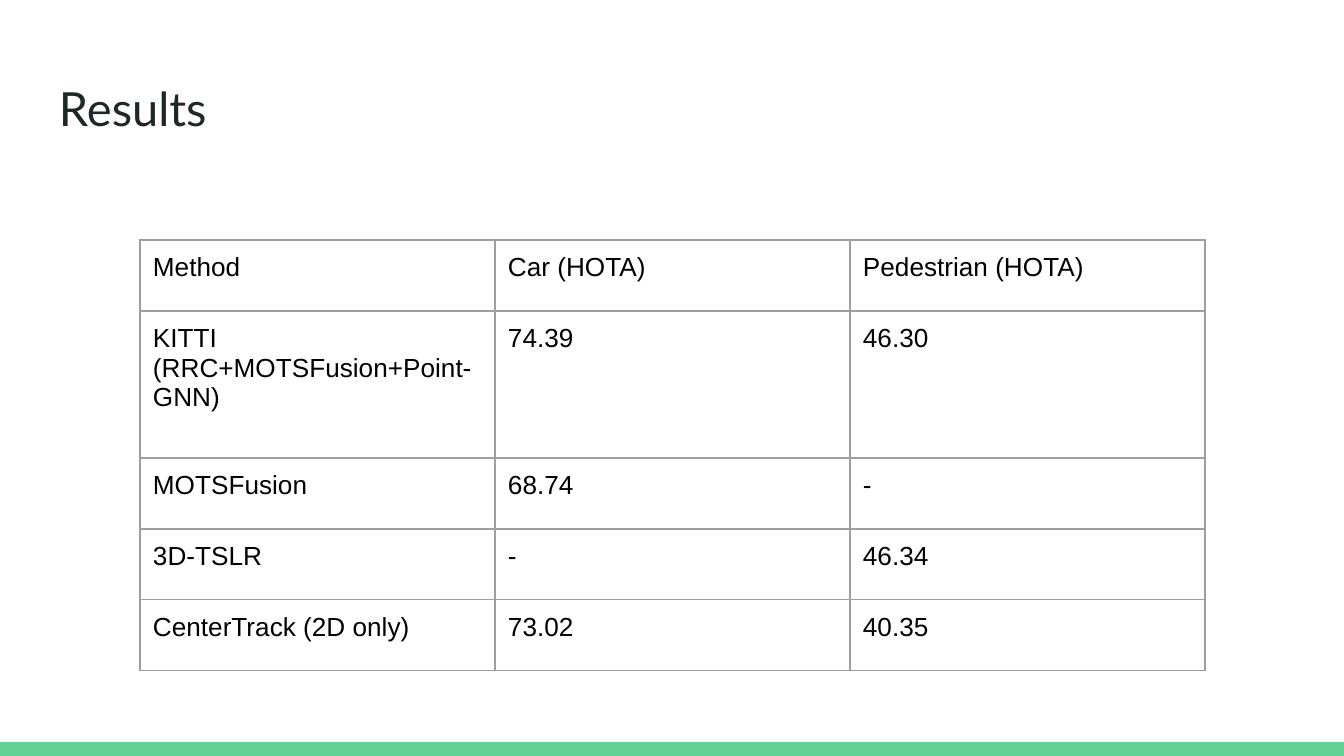
from lxml.etree import SubElement
from pptx import Presentation
from pptx.dml.color import RGBColor
from pptx.enum.shapes import MSO_SHAPE as Shape
from pptx.enum.text import MSO_ANCHOR as Anchor, PP_ALIGN as Align
from pptx.oxml.ns import qn
from pptx.util import Pt

EMU_PER_PX = 9144000 / 1344
WIDTH, HEIGHT = 1344, 756
BAR_HEIGHT = 14
WHITE = RGBColor(0xFF, 0xFF, 0xFF)
BLACK = RGBColor(0x00, 0x00, 0x00)
INK = RGBColor(0x20, 0x27, 0x29)
GREEN = RGBColor(0x63, 0xD2, 0x97)
GRAY = RGBColor(0x9E, 0x9E, 0x9E)

RESULTS = [
    ("Method", "Car (HOTA)", "Pedestrian (HOTA)"),
    ("KITTI (RRC+MOTSFusion+Point-GNN)", "74.39", "46.30"),
    ("MOTSFusion", "68.74", "-"),
    ("3D-TSLR", "-", "46.34"),
    ("CenterTrack (2D only)", "73.02", "40.35"),
]
ROW_HEIGHTS = [71, 147, 71, 71, 71]
COLUMN_WIDTH = 355


def px(length):
    return round(length * EMU_PER_PX)


def apply(target, values):
    for name, value in values.items():
        setattr(target, name, value)


class SlideBuilder:
    title_font = {"name": "Lato", "size": Pt(25.2), "bold": False}
    table_font = {"name": "Arial", "size": Pt(14), "bold": False}
    margins = {f"margin_{side}": px(13) for side in ("left", "top", "right", "bottom")}
    border_width = Pt(0.75)

    def __init__(self, presentation):
        self.slide = presentation.slides.add_slide(presentation.slide_layouts[5])
        fill = self.slide.background.fill
        fill.solid()
        fill.fore_color.rgb = WHITE

    def text(self, frame, content, font, color):
        paragraph = frame.paragraphs[0]
        paragraph.alignment = Align.LEFT
        run = paragraph.add_run()
        run.text = content
        apply(run.font, font)
        run.font.color.rgb = color

    def bar(self, left, top, width, height, color):
        shape = self.slide.shapes.add_shape(
            Shape.RECTANGLE, px(left), px(top), px(width), px(height))
        shape.shadow.inherit = False
        shape.fill.solid()
        shape.fill.fore_color.rgb = color
        shape.line.fill.background()

    def title(self, content, left, top, width, height):
        shape = self.slide.shapes.title
        apply(shape, {"left": px(left), "top": px(top),
                      "width": px(width), "height": px(height)})
        frame = shape.text_frame
        apply(frame, {"word_wrap": True, "vertical_anchor": Anchor.TOP, **self.margins})
        self.text(frame, content, self.title_font, INK)

    def border(self, cell):
        properties = cell._tc.get_or_add_tcPr()
        for side in ("lnL", "lnR", "lnT", "lnB"):
            line = SubElement(properties, qn(f"a:{side}"), w=str(self.border_width))
            fill = SubElement(line, qn("a:solidFill"))
            SubElement(fill, qn("a:srgbClr"), val=str(GRAY))

    def table(self, rows, left, top, column_width, row_heights):
        columns = len(rows[0])
        table = self.slide.shapes.add_table(
            len(rows), columns, px(left), px(top),
            px(column_width * columns), px(sum(row_heights))).table
        apply(table, {"first_row": False, "horz_banding": False})
        for column in table.columns:
            column.width = px(column_width)
        for row, height, contents in zip(table.rows, row_heights, rows):
            row.height = px(height)
            for cell, content in zip(row.cells, contents):
                apply(cell, {"vertical_anchor": Anchor.TOP, **self.margins})
                self.border(cell)
                cell.fill.background()
                self.text(cell.text_frame, content, self.table_font, BLACK)


def main():
    presentation = Presentation()
    apply(presentation, {"slide_width": px(WIDTH), "slide_height": px(HEIGHT)})
    builder = SlideBuilder(presentation)
    builder.bar(0, HEIGHT - BAR_HEIGHT, WIDTH, BAR_HEIGHT, GREEN)
    builder.title("Results", 46, 66, 1253, 85)
    builder.table(RESULTS, 140, 240, COLUMN_WIDTH, ROW_HEIGHTS)
    presentation.save("out.pptx")


if __name__ == "__main__":
    main()
